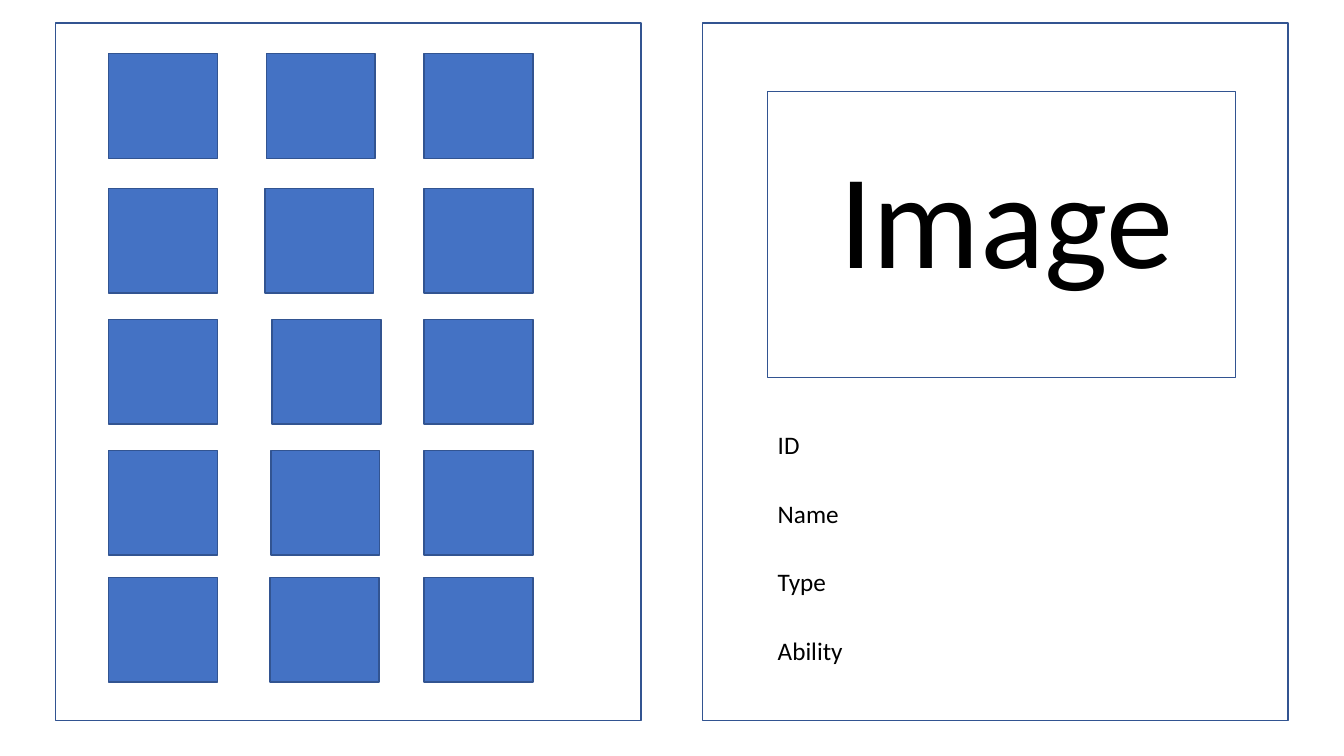
from pptx import Presentation
from pptx.dml.color import RGBColor
from pptx.enum.shapes import MSO_SHAPE
from pptx.enum.text import MSO_AUTO_SIZE
from pptx.util import Cm, Pt

COLORS = {"white": "FFFFFF", "tile": "4472C4", "outline": "325491", "text": "000000"}

PANEL_LEFTS = (1.4, 17.7)
TILE_WIDTH, TILE_HEIGHT = 2.74, 2.64
FIRST_COLUMN, LAST_COLUMN = 2.74, 10.69
# Top of each tile row and left edge of its middle tile
TILE_ROWS = ((1.35, 6.71), (4.75, 6.68), (8.05, 6.86), (11.35, 6.83), (14.55, 6.81))

DETAIL_LEFT = 19.35
FIELDS = (("ID", 9.5), ("Name", 10.54), ("Type", 10.54), ("Ability", 10.54))
FIELD_TOP, FIELD_STEP = 10.69, 1.73


def color(name):
    return RGBColor.from_string(COLORS[name])


def add_box(slide, left, top, width, height, fill="white"):
    shape = slide.shapes.add_shape(
        MSO_SHAPE.RECTANGLE, Cm(left), Cm(top), Cm(width), Cm(height))
    shape.shadow.inherit = False
    shape.fill.solid()
    shape.fill.fore_color.rgb = color(fill)
    shape.line.color.rgb = color("outline")
    shape.line.width = Pt(1)


def add_label(slide, text, left, top, width, height, size=18):
    text_box = slide.shapes.add_textbox(Cm(left), Cm(top), Cm(width), Cm(height))
    frame = text_box.text_frame
    frame.word_wrap = True
    frame.auto_size = MSO_AUTO_SIZE.SHAPE_TO_FIT_TEXT
    paragraph = frame.paragraphs[0]
    paragraph.text = text
    paragraph.font.name = "Calibri"
    paragraph.font.size = Pt(size)
    paragraph.font.color.rgb = color("text")


def add_tile_grid(slide):
    for top, middle_column in TILE_ROWS:
        for left in (FIRST_COLUMN, middle_column, LAST_COLUMN):
            add_box(slide, left, top, TILE_WIDTH, TILE_HEIGHT, "tile")


def add_detail_card(slide):
    add_box(slide, DETAIL_LEFT, 2.31, 11.79, 7.21)
    add_label(slide, "Image", 20.9, 3.25, 9.45, 4.37, size=96)
    for index, (name, width) in enumerate(FIELDS):
        add_label(slide, name, DETAIL_LEFT, FIELD_TOP + index * FIELD_STEP, width, 1.02)


def main():
    presentation = Presentation()
    presentation.slide_width = Cm(33.87)
    presentation.slide_height = Cm(19.05)
    slide = presentation.slides.add_slide(presentation.slide_layouts[6])
    for left in PANEL_LEFTS:
        add_box(slide, left, 0.58, 14.76, 17.58)
    add_tile_grid(slide)
    add_detail_card(slide)
    presentation.save("out.pptx")


if __name__ == "__main__":
    main()
